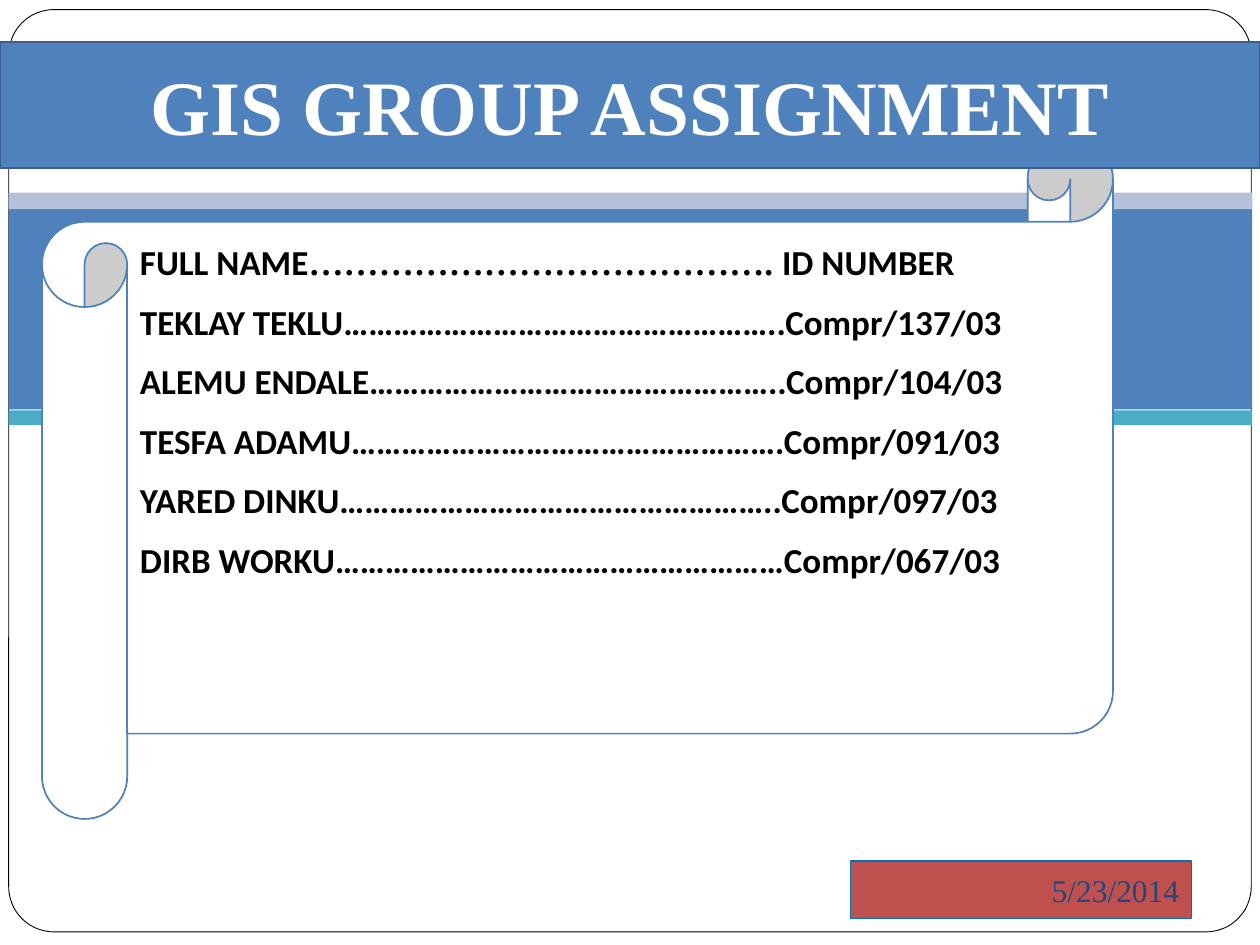
from lxml import etree
from pptx import Presentation
from pptx.dml.color import RGBColor
from pptx.enum.shapes import MSO_SHAPE
from pptx.enum.text import MSO_ANCHOR, MSO_AUTO_SIZE, PP_ALIGN
from pptx.oxml.ns import qn
from pptx.util import Pt

RECTANGLE = MSO_SHAPE.RECTANGLE
ROUNDED = MSO_SHAPE.ROUNDED_RECTANGLE
SCROLL = MSO_SHAPE.HORIZONTAL_SCROLL
MIDDLE, TOP = MSO_ANCHOR.MIDDLE, MSO_ANCHOR.TOP
CENTER, LEFT, RIGHT = PP_ALIGN.CENTER, PP_ALIGN.LEFT, PP_ALIGN.RIGHT
NO_AUTOFIT = MSO_AUTO_SIZE.NONE

SERIF, SANS = "Times New Roman", "Calibri"
BLUE, WHITE, BLACK = "4F81BD", "FFFFFF", "000000"
ELLIPSIS = "\u2026"
# Name, number of ellipses, closing dots, ID number
MEMBERS = [
    ("TEKLAY TEKLU", 17, "..", "Compr/137/03"),
    ("ALEMU ENDALE", 16, "..", "Compr/104/03"),
    ("TESFA ADAMU", 17, ".", "Compr/091/03"),
    ("YARED DINKU", 17, "..", "Compr/097/03"),
    ("DIRB WORKU", 18, "", "Compr/067/03"),
]


def color(hex_value):
    """Turn a hex string into a colour."""
    return RGBColor.from_string(hex_value)


def place(shape, box):
    """Move a shape to a box of left, top, width and height in points."""
    shape.left, shape.top, shape.width, shape.height = map(Pt, box)


def paint(shape, fill, line=None, line_width=1):
    """Set the fill and the outline of a shape."""
    shape.fill.solid()
    shape.fill.fore_color.rgb = color(fill)
    if line:
        shape.line.color.rgb = color(line)
        shape.line.width = Pt(line_width)
    else:
        shape.line.fill.background()


def add_panel(slide, kind, box, fill, line=None, line_width=1):
    """Add a flat preset shape and return it."""
    shape = slide.shapes.add_shape(kind, *map(Pt, box))
    shape.shadow.inherit = False
    paint(shape, fill, line, line_width)
    return shape


def format_run(run, font_name, size, hex_value, bold=False):
    """Set the font of a run."""
    font = run.font
    font.name, font.size, font.bold = font_name, Pt(size), bold
    font.color.rgb = color(hex_value)


def set_line(shape, text, alignment, font_name, size, hex_value, bold=False):
    """Write one vertically centred line of text into a shape."""
    frame = shape.text_frame
    frame.text = text
    frame.word_wrap = True
    frame.auto_size = NO_AUTOFIT
    frame.vertical_anchor = MIDDLE
    paragraph = frame.paragraphs[0]
    paragraph.alignment = alignment
    format_run(paragraph.runs[0], font_name, size, hex_value, bold)


def draw_background(slide, box):
    """Draw the rounded frame and the three bands across it."""
    left, top, width, height = box
    frame = add_panel(slide, ROUNDED, box, WHITE, BLACK, 0.5)
    frame.adjustments[0] = 0.049
    for offset, band_height, fill in (
        (108, 120.5, BLUE), (104.5, 9.5, "B3C1DB"), (229, 8.5, "4BACC6"),
    ):
        add_panel(slide, RECTANGLE, (left, top + offset, width + 0.5, band_height), fill)


def draw_member_list(slide, box):
    """Draw the scroll and lay the list of members on it."""
    left, top, width, height = box
    scroll = add_panel(slide, SCROLL, box, WHITE, BLUE)
    scroll.adjustments[0] = 0.125

    body = slide.placeholders[1]
    slide.shapes._spTree.append(body._element)
    place(body, (left + 56, top + 59.5, width - 56, height - 120))
    frame = body.text_frame
    frame.margin_left = frame.margin_right = frame.margin_top = frame.margin_bottom = 0
    frame.word_wrap = True
    frame.auto_size = NO_AUTOFIT
    frame.vertical_anchor = TOP

    rows = [[("FULL NAME", SANS), (ELLIPSIS * 13 + ". ", SERIF), ("ID NUMBER", SANS)]]
    rows += [[(name + ELLIPSIS * count + dots + number, SANS)]
             for name, count, dots, number in MEMBERS]
    for index, row in enumerate(rows):
        paragraph = frame.add_paragraph() if index else frame.paragraphs[0]
        paragraph.alignment = LEFT
        paragraph.space_before, paragraph.space_after = Pt(0), Pt(10)
        properties = paragraph._p.get_or_add_pPr()
        properties.set("marL", "0")
        properties.set("indent", "0")
        etree.SubElement(properties, qn("a:buNone"))
        for text, font_name in row:
            run = paragraph.add_run()
            run.text = text
            format_run(run, font_name, 20, BLACK, bold=True)


def draw_title(slide, box):
    """Turn the title placeholder into the banner in front of the scroll."""
    title = slide.shapes.title
    slide.shapes._spTree.append(title._element)
    place(title, box)
    paint(title, BLUE, "3A5F8C")
    set_line(title, "GIS GROUP ASSIGNMENT", CENTER, SERIF, 44, WHITE, bold=True)


def draw_date(slide, box):
    """Draw the date box."""
    panel = add_panel(slide, RECTANGLE, box, "C0504D", "0070C0", 0.75)
    set_line(panel, "5/23/2014", RIGHT, SERIF, 18, "1F497D")


def main():
    """Build the slide and save it."""
    presentation = Presentation()
    presentation.slide_width, presentation.slide_height = Pt(720), Pt(540)
    slide = presentation.slides.add_slide(presentation.slide_layouts[1])
    draw_background(slide, (5, 5.5, 710, 527))
    draw_member_list(slide, (24, 78, 612, 390))
    draw_title(slide, (0, 24, 720, 72))
    draw_date(slide, (486, 492, 195, 33))
    presentation.save("out.pptx")


main()
